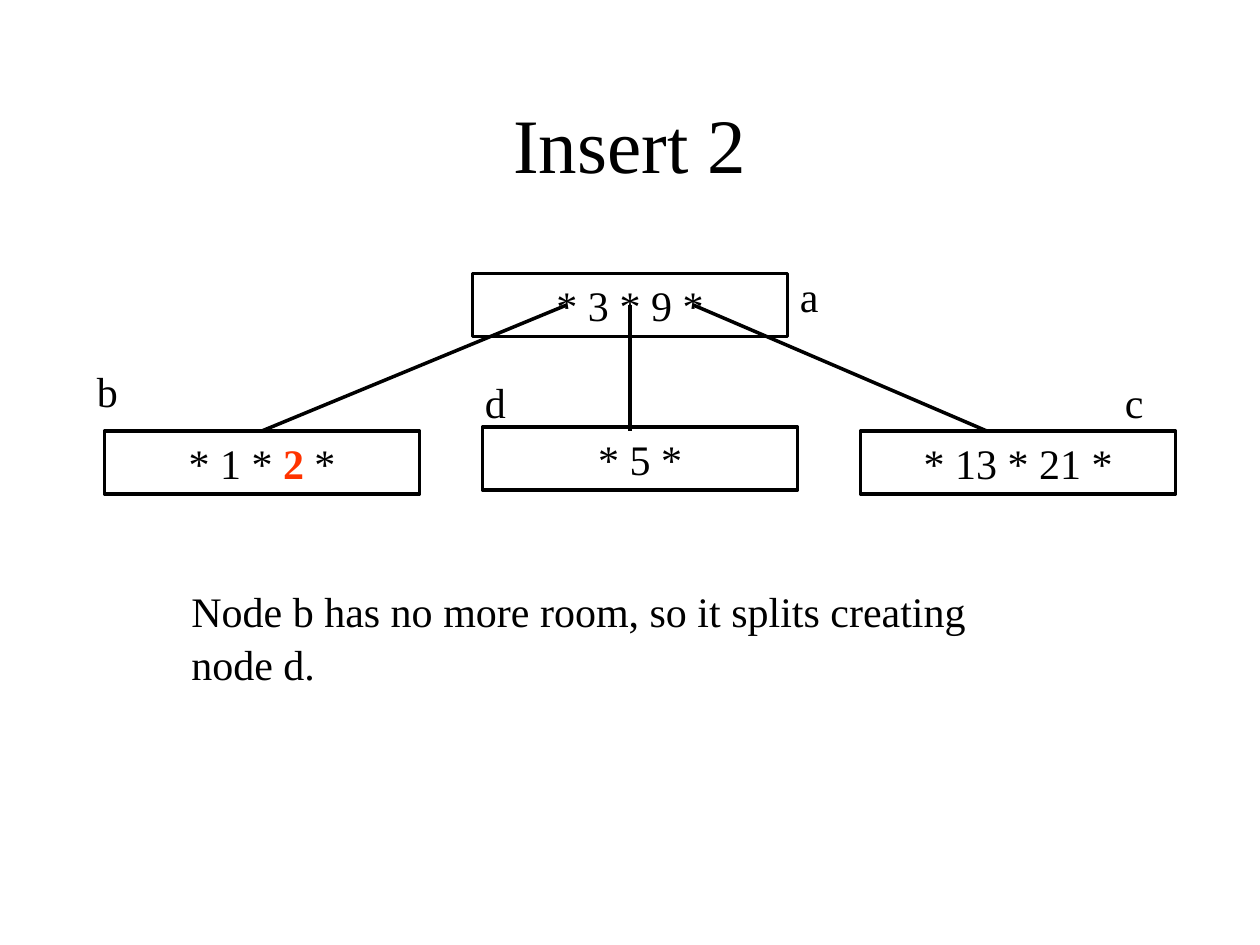
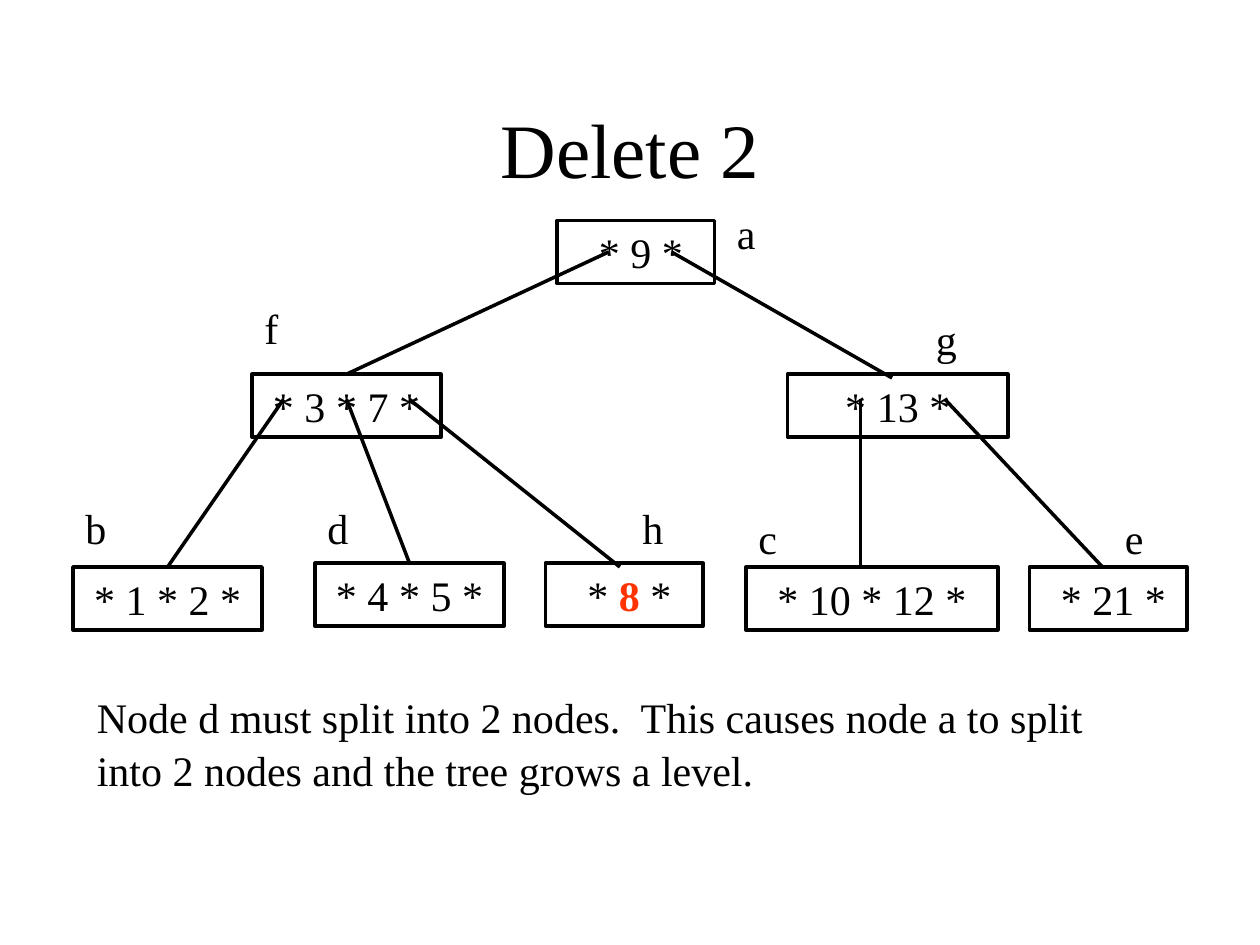
from lxml import etree
from pptx import Presentation
from pptx.dml.color import RGBColor
from pptx.enum import shapes, text
from pptx.oxml.ns import qn
from pptx.util import Inches, Pt

BLACK = RGBColor(0x00, 0x00, 0x00)
RED = RGBColor(0xFF, 0x33, 0x00)
FONT = "Times New Roman"
TITLE_SIZE, BODY_SIZE, LINE_WIDTH = Pt(44), Pt(24), Pt(2)
NODE_HEIGHT = LABEL_SIZE = 0.5
INDENT = 0.08
TOP_SIDE = 0

# Node: name, left, top, width, keys, extra left margin
INSERT_NODES = [
    ("a", 3.75, 2.17, 2.5, "* 3 * 9 *", 0),
    ("b", 0.83, 3.42, 2.5, "* 1 * 2 *", 0),
    ("c", 6.83, 3.42, 2.5, "* 13 * 21 *", 0),
    ("d", 3.83, 3.39, 2.5, "* 5 *", 0),
]
# Pointer: start, then an end point or the name of the node it joins
INSERT_POINTERS = [
    ((4.5, 2.42), "b"),
    ((5, 2.42), (5, 3.42)),
    ((5.5, 2.42), (7.83, 3.42)),
]
INSERT_LABELS = {"a": (6.25, 2.08), "b": (0.67, 2.83),
                 "d": (3.75, 2.92), "c": (8.83, 2.92)}

DELETE_NODES = [
    ("f", 2, 2.97, 1.5, "* 3 * 7 *", 0),
    ("e", 8.17, 4.5, 1.25, "* 21 *", INDENT),
    ("g", 6.25, 2.97, 1.75, "* 13 *", 0),
    ("a", 4.42, 1.75, 1.25, "* 9 *", INDENT),
    ("b", 0.58, 4.5, 1.5, "* 1 * 2 *", 0),
    ("d", 2.5, 4.47, 1.5, "* 4 * 5 *", 0),
    ("c", 5.92, 4.5, 2, "* 10 * 12 *", 0),
    ("h", 4.33, 4.47, 1.25, "* 8 *", INDENT),
]
DELETE_POINTERS = [
    ((4.83, 2), "f"),
    ((5.33, 2), (7.08, 3)),
    ((2.25, 3.17), "b"),
    ((2.75, 3.17), "d"),
    ((3.25, 3.17), (4.92, 4.5)),
    ((6.83, 3.17), (6.83, 4.5)),
    ((7.5, 3.17), (8.75, 4.5)),
]
DELETE_LABELS = {"b": (0.58, 3.92), "a": (5.75, 1.58), "f": (2, 2.33),
                 "g": (7.33, 2.42), "d": (2.5, 3.92), "h": (5, 3.92),
                 "c": (5.92, 4), "e": (8.83, 4)}


def format_paragraph(paragraph, size=BODY_SIZE, alignment=text.PP_ALIGN.LEFT):
    paragraph.alignment = alignment
    paragraph.font.name = FONT
    paragraph.font.size = size
    paragraph.font.color.rgb = BLACK


def add_title(slide, title_text, height):
    title = slide.shapes.title
    title.left, title.top = Inches(0.75), Inches(0.67)
    title.width, title.height = Inches(8.5), Inches(height)
    title.text_frame.text = title_text
    title.text_frame.vertical_anchor = text.MSO_ANCHOR.MIDDLE
    format_paragraph(title.text_frame.paragraphs[0], TITLE_SIZE, text.PP_ALIGN.CENTER)


def add_node(slide, left, top, width, keys, indent, new_key=None):
    """Draw a tree node; new_key, if given, stands out in bold red."""
    node = slide.shapes.add_shape(
        shapes.MSO_SHAPE.RECTANGLE,
        Inches(left), Inches(top), Inches(width), Inches(NODE_HEIGHT))
    node.shadow.inherit = False
    node.fill.background()
    node.line.color.rgb = BLACK
    node.line.width = LINE_WIDTH
    frame = node.text_frame
    frame.margin_left = Inches(0.1 + indent)
    frame.vertical_anchor = text.MSO_ANCHOR.MIDDLE
    paragraph = frame.paragraphs[0]
    format_paragraph(paragraph, alignment=text.PP_ALIGN.CENTER)
    before, found, after = keys.partition(new_key) if new_key else (keys, "", "")
    for part in filter(None, (before, found, after)):
        run = paragraph.add_run()
        run.text = part
        if part == new_key:
            run.font.bold = True
            run.font.color.rgb = RED
    return node


def add_pointer(slide, start, end, nodes):
    joined = isinstance(end, str)
    end_x, end_y = start if joined else end
    pointer = slide.shapes.add_connector(
        shapes.MSO_CONNECTOR.STRAIGHT,
        Inches(start[0]), Inches(start[1]), Inches(end_x), Inches(end_y))
    if joined:
        pointer.end_connect(nodes[end], TOP_SIDE)
    pointer.line.color.rgb = BLACK
    pointer.line.width = LINE_WIDTH
    etree.SubElement(pointer._element.spPr, qn("a:effectLst"))


def add_text(slide, content, left, top, width, height):
    box = slide.shapes.add_textbox(
        Inches(left), Inches(top), Inches(width), Inches(height))
    box.text_frame.word_wrap = True
    box.text_frame.text = content
    paragraph = box.text_frame.paragraphs[0]
    format_paragraph(paragraph)
    paragraph.line_spacing = 1.05


def add_tree(slide, node_rows, pointers, labels, new_key):
    """Draw nodes, pointers and labels; new_key is a (node name, key) pair."""
    nodes = {}
    for name, *place in node_rows:
        nodes[name] = add_node(slide, *place,
                               new_key=new_key[1] if name == new_key[0] else None)
    for start, end in pointers:
        add_pointer(slide, start, end, nodes)
    for name, (left, top) in labels.items():
        add_text(slide, name, left, top, LABEL_SIZE, LABEL_SIZE)


def main():
    presentation = Presentation()
    presentation.slide_width, presentation.slide_height = Inches(10), Inches(7.5)
    title_only = presentation.slide_layouts[5]

    insert_slide = presentation.slides.add_slide(title_only)
    add_title(insert_slide, "Insert 2", 0.92)
    add_tree(insert_slide, INSERT_NODES, INSERT_POINTERS, INSERT_LABELS, ("b", "2"))
    add_text(insert_slide, "Node b has no more room, so it splits creating node d.",
             1.42, 4.58, 6.92, 0.9)

    delete_slide = presentation.slides.add_slide(title_only)
    add_title(delete_slide, "Delete 2", 1)
    add_tree(delete_slide, DELETE_NODES, DELETE_POINTERS, DELETE_LABELS, ("h", "8"))
    add_text(delete_slide,
             "Node d must split into 2 nodes.  This causes node a to split "
             "into 2 nodes and the tree grows a level.",
             0.67, 5.42, 8.42, 0.9)

    presentation.save("out.pptx")


if __name__ == "__main__":
    main()
